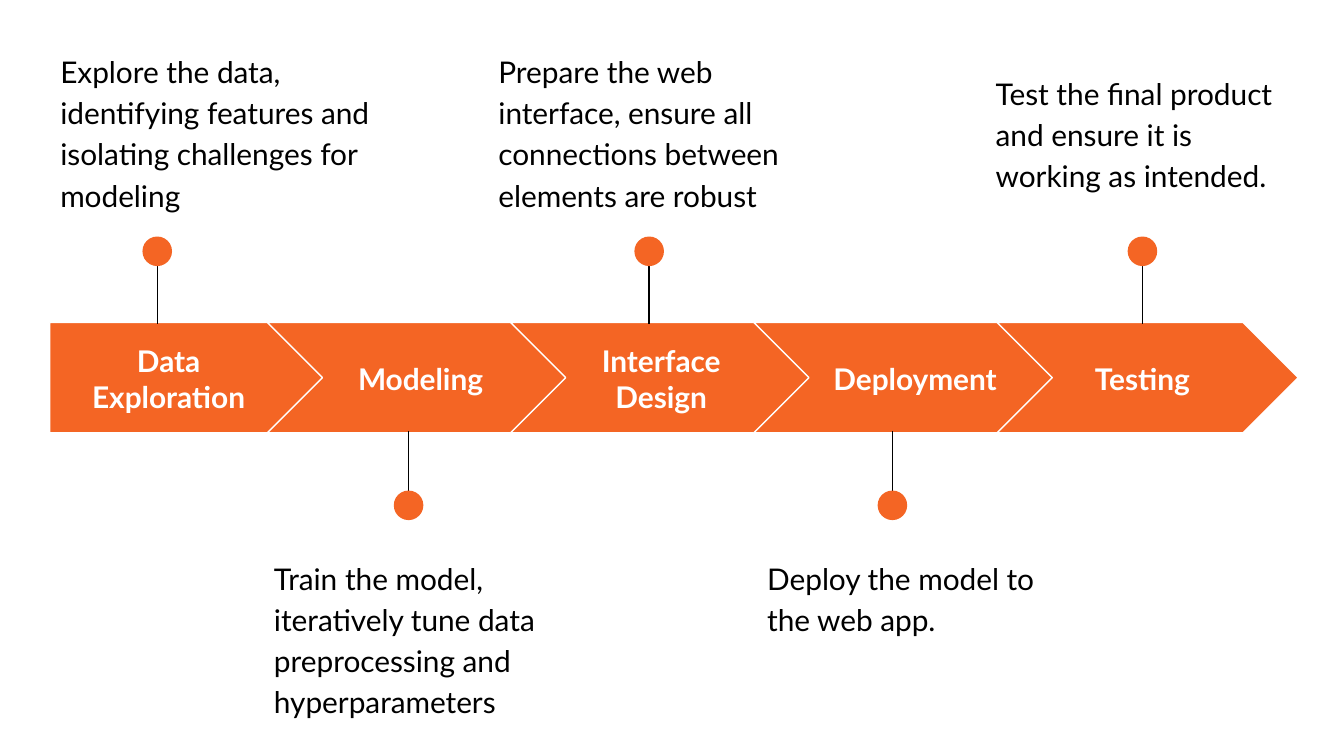
import pptx
import pptx.dml.color
import pptx.enum.shapes
import pptx.enum.text
import pptx.oxml.ns
import pptx.util
from lxml import etree

Inches = pptx.util.Inches
Shape = pptx.enum.shapes.MSO_SHAPE
Anchor = pptx.enum.text.MSO_ANCHOR
Align = pptx.enum.text.PP_ALIGN

ORANGE = pptx.dml.color.RGBColor(0xF4, 0x65, 0x24)
WHITE = pptx.dml.color.RGBColor(0xFF, 0xFF, 0xFF)
BLACK = pptx.dml.color.RGBColor(0x00, 0x00, 0x00)

BAND_TOP, BAND_HEIGHT = 2.4, 0.82
FIRST_CHEVRON_LEFT, CHEVRON_PITCH, CHEVRON_WIDTH = 1.99, 1.81, 2.24
LABEL_TOP, LABEL_HEIGHT = 2.56, 0.51
NOTE_HEIGHT = 0.99
STEM_LENGTH, DOT_SIZE = 0.61, 0.22

STAGES = [
    {"name": "Data Exploration", "label": (0.46, 1.59), "pin": 1.17,
     "note_box": (0.35, 0.26, 2.69, NOTE_HEIGHT),
     "note": "Explore the data, identifying features and isolating challenges for modeling"},
    {"name": "Modeling", "label": (2.41, 1.44), "pin": 3.04,
     "note_box": (1.94, 4.03, 2.45, NOTE_HEIGHT),
     "note": "Train the model, iteratively tune data preprocessing and hyperparameters"},
    {"name": "Interface Design", "label": (4.2, 1.44), "pin": 4.83,
     "note_box": (3.61, 0.26, 2.45, NOTE_HEIGHT),
     "note": "Prepare the web interface, ensure all connections between elements are robust"},
    {"name": "Deployment", "label": (6.09, 1.44), "pin": 6.64,
     "note_box": (5.61, 4.03, 2.45, NOTE_HEIGHT),
     "note": "Deploy the model to the web app."},
    {"name": "Testing", "label": (7.78, 1.44), "pin": 8.5,
     "note_box": (7.31, 0.42, 2.45, NOTE_HEIGHT),
     "note": "Test the final product and ensure it is working as intended."},
]


def add_text(slide, box, text, color, bold=False, anchor=Anchor.TOP):
    text_box = slide.shapes.add_textbox(*map(Inches, box))
    frame = text_box.text_frame
    frame.word_wrap = True
    frame.vertical_anchor = anchor
    frame.margin_left = frame.margin_right = Inches(0.1)
    frame.margin_top = frame.margin_bottom = Inches(0.1)
    frame.text = text
    paragraph = frame.paragraphs[0]
    font = paragraph.runs[0].font
    font.name = "Lato"
    font.size = pptx.util.Pt(16)
    font.bold = bold
    font.color.rgb = color
    return paragraph


def add_orange_shape(slide, kind, box):
    shape = slide.shapes.add_shape(kind, *map(Inches, box))
    shape.shadow.inherit = False
    shape.fill.solid()
    shape.fill.fore_color.rgb = ORANGE
    return shape


def add_arrow(slide, index):
    if index == 0:
        kind, left, width = Shape.PENTAGON, 0.37, 2.05
    else:
        left = FIRST_CHEVRON_LEFT + (index - 1) * CHEVRON_PITCH
        kind, width = Shape.CHEVRON, CHEVRON_WIDTH
    arrow = add_orange_shape(slide, kind, (left, BAND_TOP, width, BAND_HEIGHT))
    arrow.adjustments[0] = 0.5
    arrow.line.color.rgb = WHITE
    arrow.line.width = pptx.util.Pt(0.75)


def add_label(slide, left, width, name):
    box = (left, LABEL_TOP, width, LABEL_HEIGHT)
    paragraph = add_text(slide, box, name, WHITE, True, Anchor.MIDDLE)
    paragraph.alignment = Align.CENTER


def add_note(slide, box, note):
    paragraph = add_text(slide, box, note, BLACK)
    paragraph.line_spacing = 1.15
    paragraph.space_after = pptx.util.Pt(16)


def add_pin(slide, center, above):
    if above:
        base, tip, dot_top = 2.41, 2.41 - STEM_LENGTH, 1.76
    else:
        base, tip, dot_top = 3.21, 3.21 + STEM_LENGTH, 3.65
    stem = slide.shapes.add_connector(
        pptx.enum.shapes.MSO_CONNECTOR.STRAIGHT,
        Inches(center), Inches(tip), Inches(center), Inches(base))
    stem.line.color.rgb = BLACK
    stem.line.width = pptx.util.Pt(0.75)
    etree.SubElement(stem._element.spPr, pptx.oxml.ns.qn("a:effectLst"))
    dot_box = (center - DOT_SIZE / 2, dot_top, DOT_SIZE, DOT_SIZE)
    dot = add_orange_shape(slide, Shape.OVAL, dot_box)
    dot.line.fill.background()


def add_timeline(slide):
    for index, stage in enumerate(STAGES):
        add_arrow(slide, index)
        add_label(slide, *stage["label"], stage["name"])
        add_note(slide, stage["note_box"], stage["note"])
        add_pin(slide, stage["pin"], above=index % 2 == 0)


def main():
    presentation = pptx.Presentation()
    presentation.slide_width = Inches(10)
    presentation.slide_height = Inches(10 * 9 / 16)
    slide = presentation.slides.add_slide(presentation.slide_layouts[6])
    add_timeline(slide)
    presentation.save("out.pptx")


if __name__ == "__main__":
    main()
